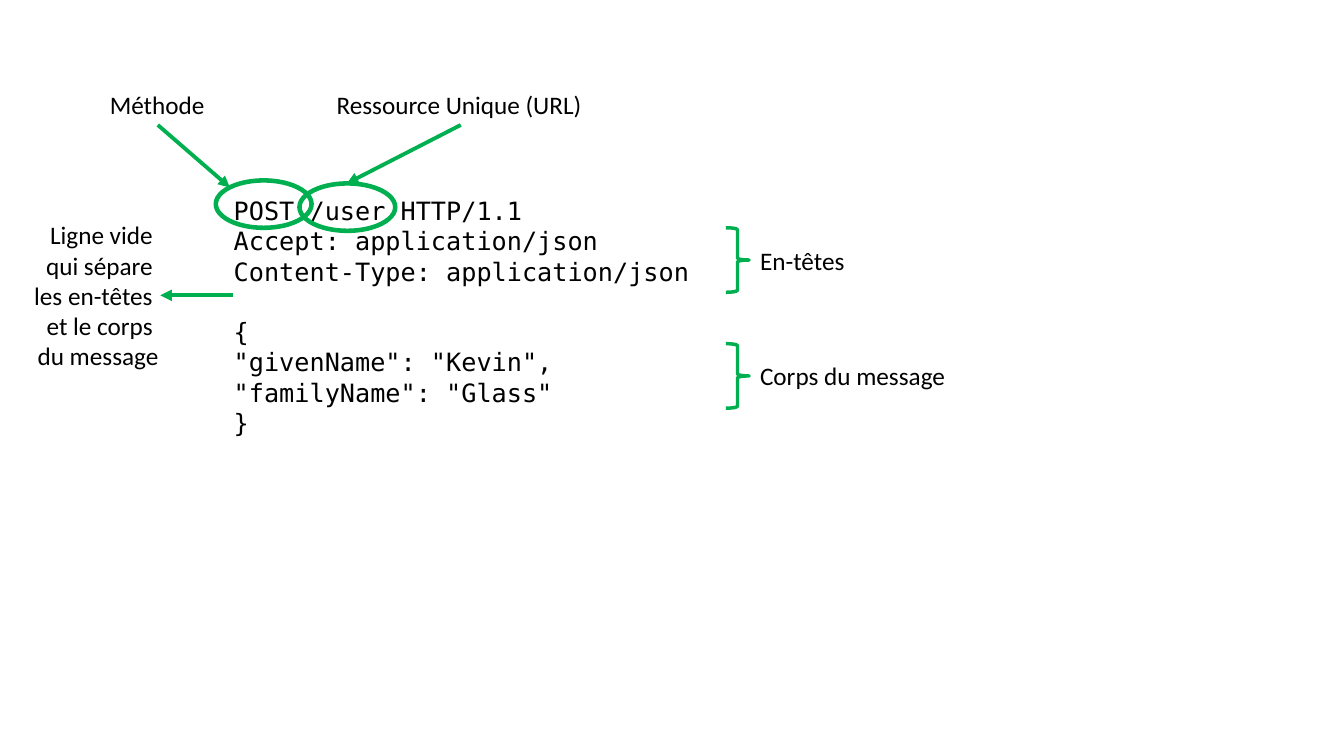
import pptx
import pptx.dml.color
import pptx.enum.shapes
import pptx.enum.text
import pptx.oxml
import pptx.oxml.ns
import pptx.util
from pptx.util import Inches

GREEN = pptx.dml.color.RGBColor(0x00, 0xB0, 0x50)
BLACK = pptx.dml.color.RGBColor(0x00, 0x00, 0x00)
LABEL_FONT = "Calibri"
CODE_FONT = "DejaVu Sans Mono"
SHAPES = pptx.enum.shapes.MSO_SHAPE
ALIGN = pptx.enum.text.PP_ALIGN

# A line break inside an entry stays within the same paragraph.
REQUEST_LINES = [
    "POST /user HTTP/1.1",
    "Accept: application/json",
    "Content-Type: application/json",
    "\n{",
    '"givenName": "Kevin",',
    '"familyName": "Glass"',
    "}",
]
SEPARATOR_NOTE = "Ligne vide \nqui sépare \nles en-têtes \net le corps \ndu message"


def add_text(slide, paragraphs, left, top, width, height, *,
             font=LABEL_FONT, size=18, align=ALIGN.LEFT, wrap=False):
    box = slide.shapes.add_textbox(
        Inches(left), Inches(top), Inches(width), Inches(height))
    frame = box.text_frame
    frame.word_wrap = wrap
    frame.auto_size = pptx.enum.text.MSO_AUTO_SIZE.SHAPE_TO_FIT_TEXT
    for index, text in enumerate(paragraphs):
        paragraph = frame.add_paragraph() if index else frame.paragraphs[0]
        paragraph.alignment = align
        paragraph.text = text
        for run in paragraph.runs:
            run.font.name = font
            run.font.size = pptx.util.Pt(size)
            run.font.color.rgb = BLACK


def add_outline(slide, kind, left, top, width, height, line_width):
    """Add an unfilled green preset shape."""
    shape = slide.shapes.add_shape(
        kind, Inches(left), Inches(top), Inches(width), Inches(height))
    shape.shadow.inherit = False
    shape.fill.background()
    shape.line.color.rgb = GREEN
    shape.line.width = pptx.util.Pt(line_width)


def add_arrow(slide, start, end):
    arrow = slide.shapes.add_connector(
        pptx.enum.shapes.MSO_CONNECTOR.STRAIGHT,
        *(Inches(value) for value in (*start, *end)))
    arrow.line.color.rgb = GREEN
    arrow.line.width = pptx.util.Pt(2.75)
    namespace = pptx.oxml.ns.nsdecls("a")
    arrow.line._get_or_add_ln().append(
        pptx.oxml.parse_xml(f'<a:tailEnd {namespace} type="triangle"/>'))
    arrow._element.spPr.append(
        pptx.oxml.parse_xml(f"<a:effectLst {namespace}/>"))


def add_circled_part(slide, label, label_left, label_width, ellipse_left,
                     ellipse_top, arrow_end):
    """Circle a part of the request line and point to it from its label."""
    label_top, label_height = 0.84, 0.4
    add_outline(slide, SHAPES.OVAL, ellipse_left, ellipse_top, 0.95, 0.47, 3.25)
    add_text(slide, [label], label_left, label_top, label_width, label_height)
    add_arrow(slide, (label_left + label_width / 2, label_top + label_height),
              arrow_end)


def add_braced_part(slide, label, top, label_width):
    """Add a right brace with its label beside it."""
    add_outline(slide, SHAPES.RIGHT_BRACE, 7.2, top, 0.23, 0.64, 2.5)
    add_text(slide, [label], 7.44, top + 0.12, label_width, 0.4)


def main():
    presentation = pptx.Presentation()
    presentation.slide_width = Inches(13.33)
    presentation.slide_height = Inches(7.5)
    slide = presentation.slides.add_slide(presentation.slide_layouts[6])

    add_text(slide, REQUEST_LINES, 2.22, 1.89, 7.27, 2.52,
             font=CODE_FONT, wrap=True)
    add_circled_part(slide, "Méthode", 0.99, 1.15, 2.14, 1.79, (2.28, 1.86))
    add_circled_part(slide, "Ressource Unique (URL)", 3.24, 2.66, 2.97, 1.82,
                     (3.44, 1.82))
    add_arrow(slide, (2.31, 2.93), (1.59, 2.93))
    add_text(slide, [SEPARATOR_NOTE], 0.22, 2.13, 1.45, 1.62, align=ALIGN.RIGHT)
    add_braced_part(slide, "En-têtes", 2.26, 1.05)
    add_braced_part(slide, "Corps du message", 3.41, 2.06)

    presentation.save("out.pptx")


if __name__ == "__main__":
    main()
